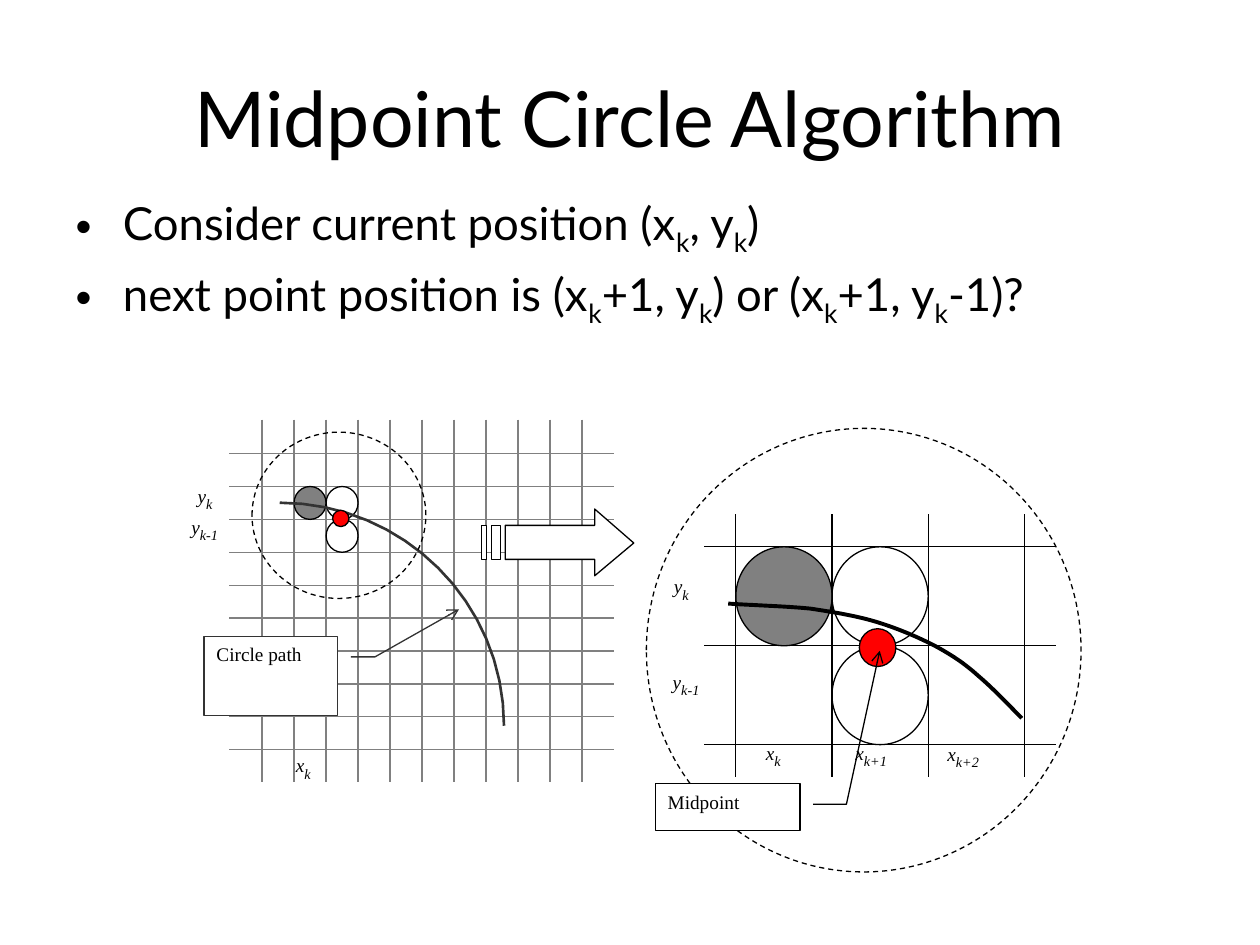
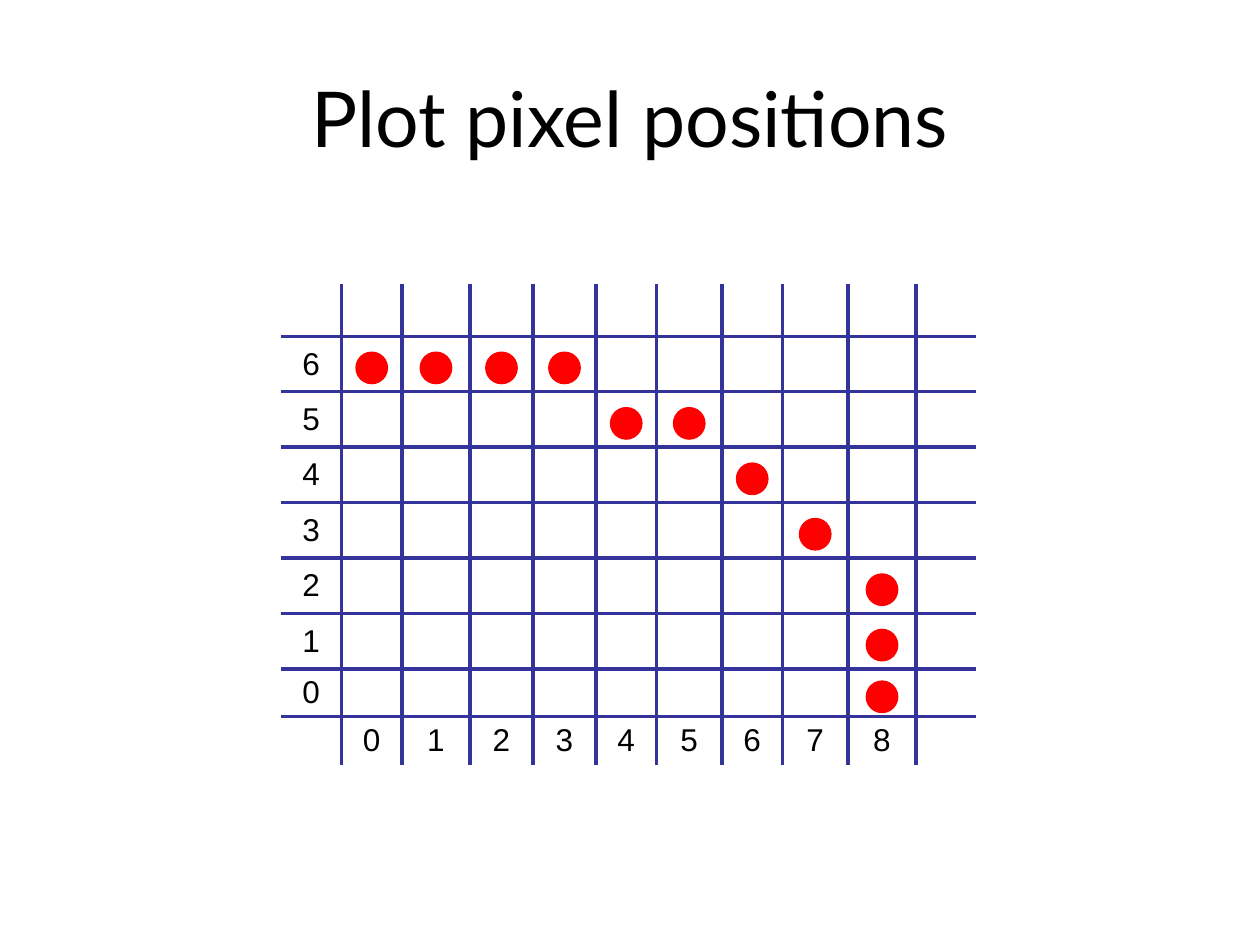
from lxml import etree
from pptx import Presentation
from pptx import util as u
from pptx.dml.color import RGBColor
from pptx.enum import dml, shapes, text
from pptx.oxml.ns import qn

BLACK = RGBColor(0, 0, 0)
WHITE = RGBColor(255, 255, 255)
GRAY = RGBColor(128, 128, 128)
DARK = RGBColor(51, 51, 51)
RED = RGBColor(255, 0, 0)
BLUE = RGBColor(51, 51, 153)
SANS, SERIF, ARIAL = "Lato", "Times New Roman", "Arial"
MID, TOP = text.MSO_ANCHOR.MIDDLE, text.MSO_ANCHOR.TOP
LEFT, CENTER = text.PP_ALIGN.LEFT, text.PP_ALIGN.CENTER
KIND = shapes.MSO_SHAPE

# Content: text between tildes is set as a subscript
TITLES = ["Midpoint Circle Algorithm", "Plot pixel positions"]
POINTS = [
    "Consider current position (x~k~, y~k~)",
    "next point position is (x~k~+1, y~k~) or (x~k~+1, y~k~-1)?",
]

# Two views of one pixel grid: cols and rows are (first, last, count)
ZOOM = dict(
    cols=(5.84, 8.13, 4), rows=(4.34, 5.91, 3), wide=(5.59, 8.38), tall=(4.08, 6.17),
    color=BLACK, cell=(0, 0), dot=(6.82, 4.99, 0.29, 0.3), lens=(5.13, 3.4, 3.45, 3.52),
    ink=(BLACK, 2.25),
    curve=[(5.78, 4.79), (5.89, 4.8), (6.23, 4.81), (6.43, 4.83), (6.63, 4.86),
           (6.81, 4.89), (6.97, 4.94), (7.13, 4.99), (7.27, 5.05), (7.41, 5.12),
           (7.54, 5.19), (7.65, 5.26), (7.76, 5.36), (7.88, 5.46), (8.04, 5.63),
           (8.11, 5.7)],
    labels=[("x~k~", 5.98, 5.79), ("x~k+1~", 6.69, 5.79), ("x~k+2~", 7.42, 5.8),
            ("y~k~", 5.25, 4.47), ("y~k-1~", 5.24, 5.23)],
)
WHOLE = dict(
    cols=(2.08, 4.62, 11), rows=(3.6, 5.95, 10), wide=(1.82, 4.87), tall=(3.33, 6.21),
    color=GRAY, cell=(1, 1), dot=(2.64, 4.05, 0.13, 0.13), lens=(2, 3.43, 1.38, 1.32),
    ink=(DARK, 1.5),
    curve=[(2.22, 3.99), (3.2, 3.99), (4, 4.78), (4, 5.76)],
    labels=[("y~k~", 1.47, 3.75), ("y~k-1~", 1.42, 4), ("x~k~", 2.25, 5.89)],
)
NOTES = [
    ("Circle path", (1.62, 5.05, 1.06, 0.63), DARK,
     (0.26, 1.1, 0.26, 1.28, -0.34, 1.91)),
    ("Midpoint", (5.2, 6.22, 1.15, 0.37), BLACK,
     (0.44, 1.09, 0.44, 1.32, -2.85, 1.55)),
]
ARROW = [(4.72, 4.04), (4.72, 4.17), (4.01, 4.17), (4.01, 4.44),
         (4.72, 4.44), (4.72, 4.57), (5.03, 4.31)]
STRIPES = [(3.9, 3.97), (3.82, 3.86)]

# Pixel chart: widths and heights of the table, lit pixels as (x, y)
WIDTHS = [0.48, 0.48, 0.54, 0.5, 0.5, 0.48, 0.52, 0.48, 0.52, 0.54, 0.48]
HEIGHTS = [0.42] + [0.44] * 6 + [0.38] * 2
ORIGIN = (2.23, 2.25)
PIXELS = [(0, 6), (1, 6), (2, 6), (3, 6), (4, 5), (5, 5),
          (6, 4), (7, 3), (8, 2), (8, 1), (8, 0)]
DOT, DROP = 0.25, 0.03


def inch(vals):
    return [u.Inches(v) for v in vals]


def write(frame, lines, font=SANS, size=11, sub=None, italic=False,
          align=LEFT, anchor=TOP):
    frame.word_wrap = True
    frame.auto_size = text.MSO_AUTO_SIZE.NONE
    frame.vertical_anchor = anchor
    for i, line in enumerate(lines):
        para = frame.paragraphs[0] if i == 0 else frame.add_paragraph()
        para.alignment = align
        if i == 0:
            para.space_before = u.Pt(0)
        for j, part in enumerate(line.split("~")):
            if not part:
                continue
            run = para.add_run()
            run.text = part
            low = j % 2
            run.font.name, run.font.italic = font, italic
            run.font.size = u.Pt(sub if low and sub else size)
            run.font.color.rgb = BLACK
            if low:
                run._r.get_or_add_rPr().set("baseline", "-25000")


def paint(shape, fill=None, line=BLACK, width=0.75):
    shape.shadow.inherit = False
    if fill is None:
        shape.fill.background()
    else:
        shape.fill.solid()
        shape.fill.fore_color.rgb = fill
    shape.line.color.rgb = line
    shape.line.width = u.Pt(width)
    return shape


def oval(slide, box, **look):
    return paint(slide.shapes.add_shape(KIND.OVAL, *inch(box)), **look)


def rule(slide, x1, y1, x2, y2, color):
    line = slide.shapes.add_connector(
        shapes.MSO_CONNECTOR.STRAIGHT, *inch((x1, y1, x2, y2)))
    line.line.color.rgb = color
    line.line.width = u.Pt(0.75)
    etree.SubElement(line._element.spPr, qn("a:effectLst"))


def outline(slide, paths, close, **look):
    pen = slide.shapes.build_freeform(*inch(paths[0][0]))
    for i, path in enumerate(paths):
        if i:
            pen.move_to(*inch(path[0]))
        pen.add_line_segments([inch(p) for p in path[1:]], close=close)
    return paint(pen.convert_to_shape(), **look)


def bend(pts, steps=16):
    """Points along a chain of cubic curves."""
    out = [pts[0]]
    for i in range(0, len(pts) - 1, 3):
        for s in range(1, steps + 1):
            t = s / steps
            mix = ((1 - t) ** 3, 3 * t * (1 - t) ** 2, 3 * t * t * (1 - t), t ** 3)
            out.append(tuple(sum(m * p[k] for m, p in zip(mix, pts[i:i + 4]))
                             for k in (0, 1)))
    return out


def spread(first, last, count):
    return [first + i * (last - first) / (count - 1) for i in range(count)]


def view(slide, v):
    # Grid
    xs, ys = spread(*v["cols"]), spread(*v["rows"])
    for x in xs:
        rule(slide, x, v["tall"][0], x, v["tall"][1], v["color"])
    for y in ys:
        rule(slide, v["wide"][0], y, v["wide"][1], y, v["color"])
    # Current pixel and its two candidates
    c, r = v["cell"]
    for dc, dr, fill in [(0, 0, GRAY), (1, 0, None), (1, 1, None)]:
        oval(slide, (xs[c + dc], ys[r + dr], xs[1] - xs[0], ys[1] - ys[0]), fill=fill)
    # Circle path, midpoint, lens and labels
    color, width = v["ink"]
    outline(slide, [bend(v["curve"])], False, line=color, width=width)
    oval(slide, v["dot"], fill=RED)
    oval(slide, v["lens"]).line.dash_style = dml.MSO_LINE.DASH
    for label, x, y in v["labels"]:
        box = slide.shapes.add_textbox(*inch((x, y, 0.68, 0.52)))
        write(box.text_frame, [label], font=SERIF, sub=14, italic=True)


def note(slide, words, box, color, tail):
    shape = slide.shapes.add_shape(KIND.LINE_CALLOUT_2, *inch(box))
    paint(shape, fill=WHITE, line=color)
    for i, value in enumerate(tail):
        shape.adjustments[i] = value
    etree.SubElement(shape.line._get_or_add_ln(), qn("a:tailEnd"), type="arrow")
    write(shape.text_frame, [words], font=SERIF)


def border(cell, sides):
    """Draw the named sides and clear the others."""
    props = cell._tc.get_or_add_tcPr()
    for side in "LRTB":
        ln = etree.SubElement(props, qn("a:ln" + side), w=str(u.Pt(2.25)))
        if side in sides:
            fill = etree.SubElement(ln, qn("a:solidFill"))
            etree.SubElement(fill, qn("a:srgbClr"), val=str(BLUE))
        else:
            etree.SubElement(ln, qn("a:noFill"))


def chart(slide):
    nr, nc = len(HEIGHTS), len(WIDTHS)
    size = (sum(WIDTHS), sum(HEIGHTS))
    table = slide.shapes.add_table(nr, nc, *inch(ORIGIN + size)).table
    table.first_row = table.horz_banding = False
    for col, w in zip(table.columns, WIDTHS):
        col.width = u.Inches(w)
    for row, h in zip(table.rows, HEIGHTS):
        row.height = u.Inches(h)
    for r in range(nr):
        for c in range(nc):
            cell = table.cell(r, c)
            # Only inner edges are ruled
            inner = dict(L=c > 0, R=c < nc - 1, T=r > 0, B=r < nr - 1)
            border(cell, [s for s in inner if inner[s]])
            cell.fill.background()
            cell.vertical_anchor = MID
            if c == 0 and 0 < r < nr - 1:
                mark = str(nr - 2 - r)
            elif r == nr - 1 and 0 < c < nc - 1:
                mark = str(c - 1)
            else:
                cell.margin_top = cell.margin_bottom = 0
                continue
            para = cell.text_frame.paragraphs[0]
            para.alignment = CENTER
            run = para.add_run()
            run.text = mark
            run.font.name, run.font.size = ARIAL, u.Pt(18)
            run.font.color.rgb = BLACK
    # Lit pixels sit in the middle of their cells
    for x, y in PIXELS:
        c, r = x + 1, nr - 2 - y
        mx = ORIGIN[0] + sum(WIDTHS[:c]) + WIDTHS[c] / 2
        my = ORIGIN[1] + sum(HEIGHTS[:r]) + HEIGHTS[r] / 2 + DROP
        oval(slide, (mx - DOT / 2, my - DOT / 2, DOT, DOT), fill=RED, line=RED)


def place(shape, box):
    shape.left, shape.top, shape.width, shape.height = inch(box)


def start(deck, layout, title):
    slide = deck.slides.add_slide(deck.slide_layouts[layout])
    place(slide.shapes.title, (0.5, 0.3, 9, 1.25))
    write(slide.shapes.title.text_frame, [title], size=44, align=CENTER, anchor=MID)
    return slide


def main():
    deck = Presentation()
    deck.slide_width, deck.slide_height = inch((10, 7.5))

    # Slide 1: the choice of the next pixel
    slide = start(deck, 1, TITLES[0])
    body = slide.placeholders[1]
    place(body, (0.5, 1.5, 9.33, 5.75))
    write(body.text_frame, POINTS, size=26)
    view(slide, ZOOM)
    view(slide, WHOLE)
    bars = [[(a, 4.17), (a, 4.44), (b, 4.44), (b, 4.17)] for a, b in STRIPES]
    outline(slide, [ARROW] + bars, True, fill=WHITE)
    for item in NOTES:
        note(slide, *item)

    # Slide 2: the plotted pixels
    chart(start(deck, 5, TITLES[1]))
    deck.save("out.pptx")


if __name__ == "__main__":
    main()
